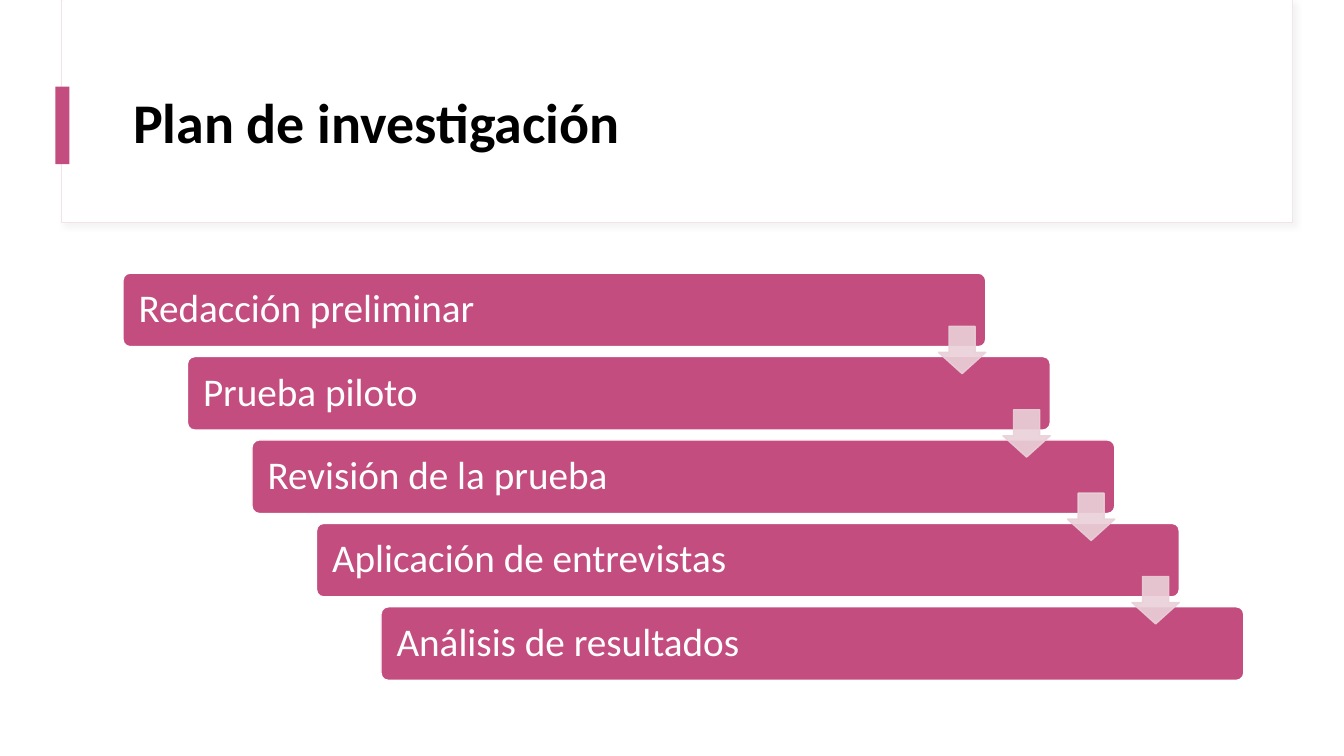
from lxml import etree
from pptx import Presentation
from pptx.dml.color import RGBColor
from pptx.enum.shapes import MSO_SHAPE
from pptx.enum.text import MSO_ANCHOR, MSO_AUTO_SIZE, PP_ALIGN
from pptx.oxml import parse_xml
from pptx.oxml.ns import nsdecls, qn
from pptx.util import Pt

RECT = MSO_SHAPE.RECTANGLE
ROUND_RECT = MSO_SHAPE.ROUNDED_RECTANGLE
DOWN_ARROW = MSO_SHAPE.DOWN_ARROW
MIDDLE = MSO_ANCHOR.MIDDLE
LEFT = PP_ALIGN.LEFT
NO_AUTOFIT = MSO_AUTO_SIZE.NONE

TITLE = "Plan de investigación"
STEPS = [
    "Redacción preliminar",
    "Prueba piloto",
    "Revisión de la prueba",
    "Aplicación de entrevistas",
    "Análisis de resultados",
]

COLORS = {
    "white": "FFFFFF",
    "black": "000000",
    "accent": "C34D7F",
    "arrow": "E9D0D8",
    "frame": "F0E3E9",
    "shadow": "D9D9D9",
}
FONT = "Calibri"

# Boxes are left, top, width, height in points.
FRAME_BOX = (43.92, 0, 879.12, 159.12)
PANEL_BOX = (44.64, 0, 878.4, 158.4)
MARKER_BOX = (39.6, 61.92, 10.08, 55.44)
TITLE_BOX = (87.84, 43.2, 800.64, 92.88)

BAR_LEFT, BAR_TOP, BAR_W, BAR_H = 87.84, 195.12, 616.32, 52.56
STEP_X, STEP_Y = 46.08, 59.58
ARROW_SIZE = 33.84
ARROW_LEFT = BAR_LEFT + BAR_W - ARROW_SIZE
ARROW_TOP = 233.1
ARROW_ALPHA = 90


def rgb(name):
    return RGBColor.from_string(COLORS[name])


def add_shape(slide, kind, box, fill, line=None, line_width=1):
    sp = slide.shapes.add_shape(kind, *(Pt(v) for v in box))
    sp.shadow.inherit = False
    sp.fill.solid()
    sp.fill.fore_color.rgb = rgb(fill)
    if line:
        sp.line.color.rgb = rgb(line)
        sp.line.width = Pt(line_width)
    else:
        sp.line.fill.background()
    return sp


def set_text(sp, text, size, color, bold=False):
    tf = sp.text_frame
    tf.text = text
    tf.word_wrap = True
    tf.auto_size = NO_AUTOFIT
    tf.vertical_anchor = MIDDLE
    p = tf.paragraphs[0]
    p.alignment = LEFT
    p.line_spacing = 0.9
    font = p.runs[0].font
    font.name = FONT
    font.size = Pt(size)
    font.bold = bold
    font.color.rgb = rgb(color)


def add_soft_shadow(sp):
    effects = sp.element.spPr.find(qn("a:effectLst"))
    effects.append(parse_xml(
        f'<a:outerShdw {nsdecls("a")} blurRad="{Pt(4)}" dist="{Pt(3)}" '
        f'dir="{45 * 60000}" algn="tl" rotWithShape="0">'
        f'<a:srgbClr val="{COLORS["shadow"]}"><a:alpha val="30000"/></a:srgbClr>'
        '</a:outerShdw>'))


def set_opacity(sp, percent):
    """Apply the opacity to the fill and the outline."""
    for color in sp.element.spPr.iter(qn("a:srgbClr")):
        etree.SubElement(color, qn("a:alpha")).set("val", str(percent * 1000))


def add_header(slide):
    frame = add_shape(slide, RECT, FRAME_BOX, "white", "frame", 0.75)
    add_soft_shadow(frame)
    panel = add_shape(slide, RECT, PANEL_BOX, "white")
    marker = add_shape(slide, RECT, MARKER_BOX, "accent")

    title = slide.shapes.title
    title.left, title.top, title.width, title.height = (Pt(v) for v in TITLE_BOX)
    set_text(title, TITLE, 40, "black", bold=True)
    for sp in (frame, panel, marker):
        title.element.addprevious(sp.element)


def add_steps(slide):
    for i, step in enumerate(STEPS):
        box = (BAR_LEFT + i * STEP_X, BAR_TOP + i * STEP_Y, BAR_W, BAR_H)
        bar = add_shape(slide, ROUND_RECT, box, "accent", "white")
        bar.adjustments[0] = 0.1
        set_text(bar, step, 28, "white")
        bar.text_frame.margin_left = Pt(9.6)

    for i in range(len(STEPS) - 1):
        box = (ARROW_LEFT + i * STEP_X, ARROW_TOP + i * STEP_Y,
               ARROW_SIZE, ARROW_SIZE)
        arrow = add_shape(slide, DOWN_ARROW, box, "arrow", "arrow")
        arrow.adjustments[0] = 0.55
        arrow.adjustments[1] = 0.45
        set_opacity(arrow, ARROW_ALPHA)


def main():
    prs = Presentation()
    prs.slide_width, prs.slide_height = Pt(960), Pt(540)
    slide = prs.slides.add_slide(prs.slide_layouts[5])
    add_header(slide)
    add_steps(slide)
    prs.save("out.pptx")


if __name__ == "__main__":
    main()
